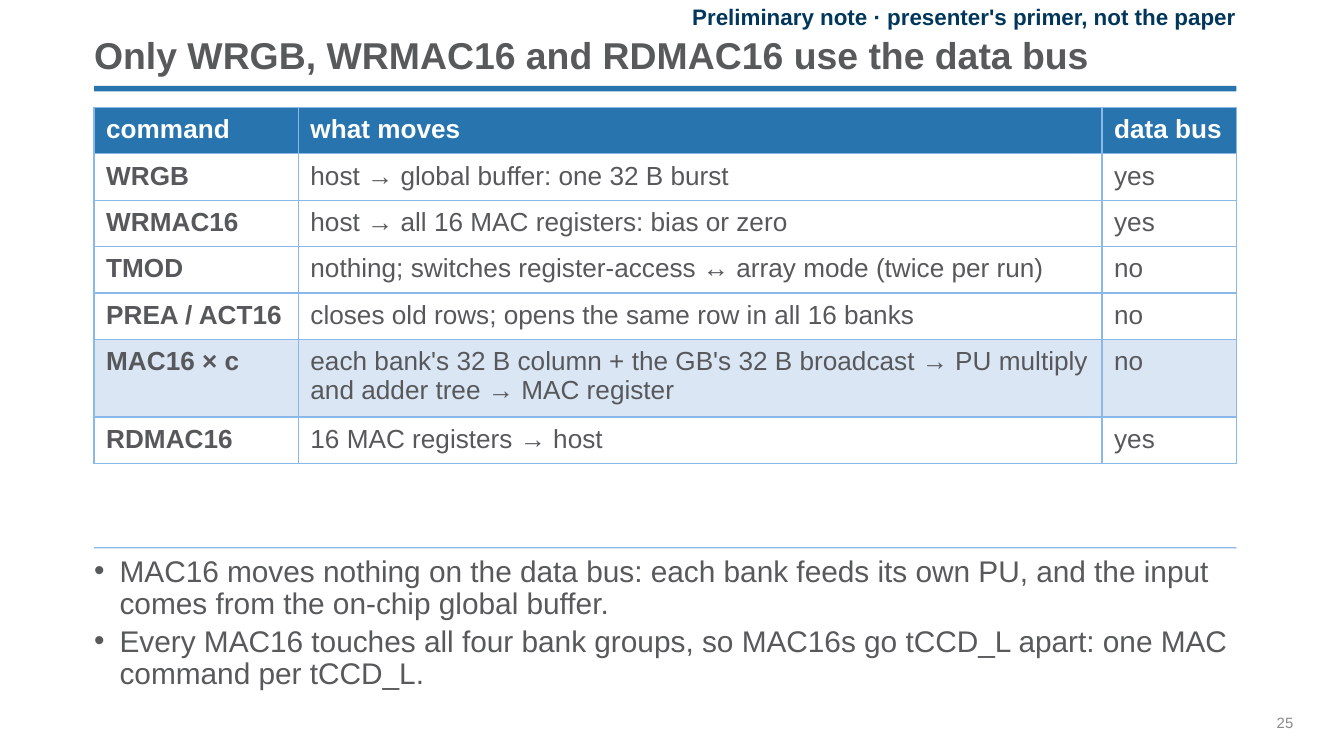
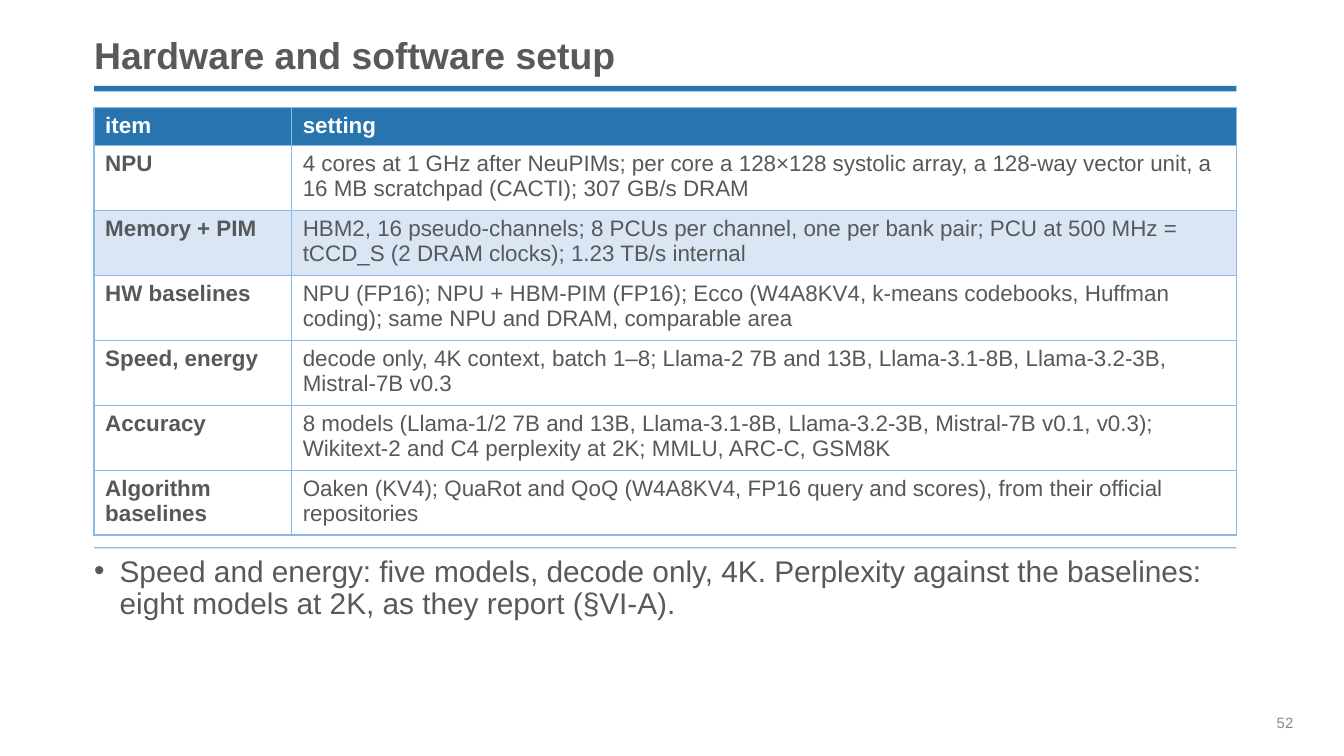
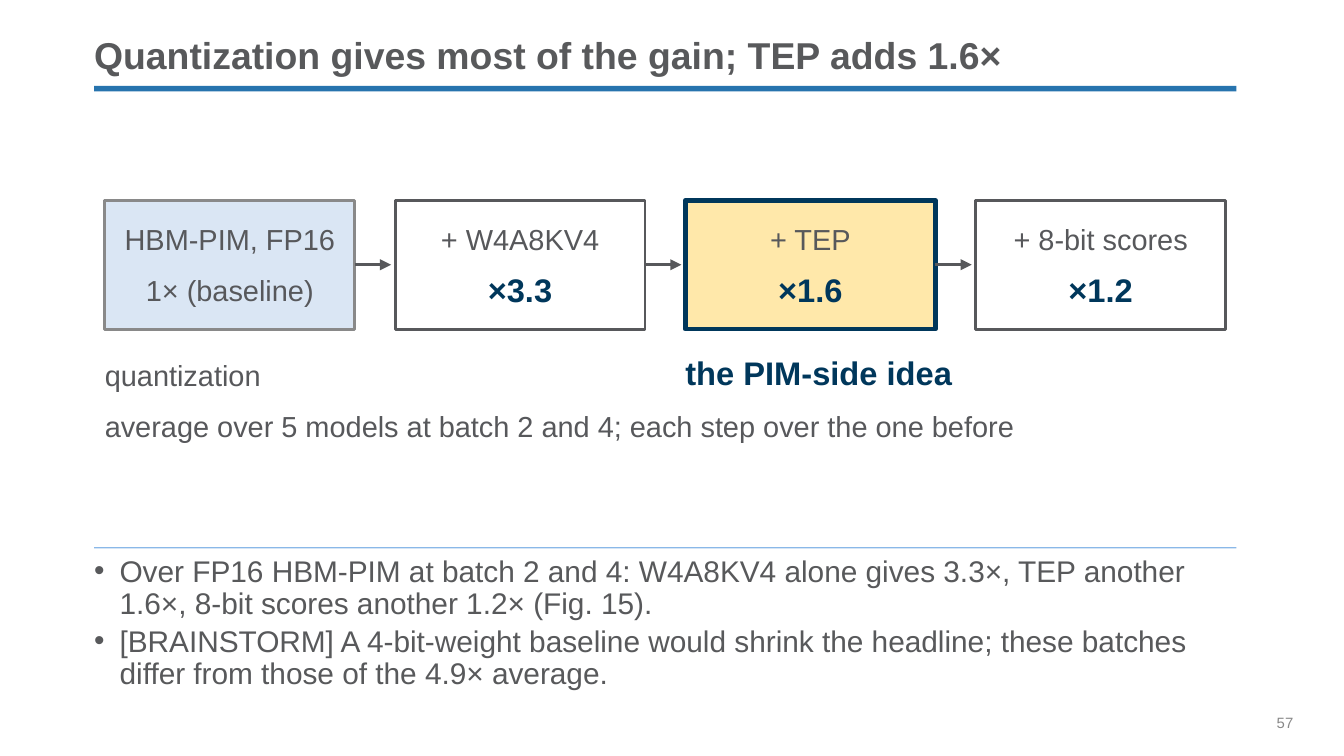
from dataclasses import dataclass

from lxml.etree import SubElement
from pptx import Presentation
from pptx.dml.color import RGBColor
from pptx.enum.shapes import MSO_CONNECTOR, MSO_SHAPE
from pptx.enum.text import MSO_ANCHOR, MSO_AUTO_SIZE, PP_ALIGN
from pptx.oxml.ns import qn
from pptx.util import Inches, Pt


@dataclass(frozen=True)
class Theme:
    font: str = "Arial"
    blue: str = "2774AE"
    light_blue: str = "8AB8E8"
    pale_blue: str = "DAE6F4"
    navy: str = "00375B"
    gold: str = "FFC72B"
    white: str = "FFFFFF"
    heading: str = "58595B"
    ink: str = "57585B"
    grey: str = "898989"
    title_size: float = 20
    body_size: float = 16
    label_size: float = 15.5
    value_size: float = 17.5
    command_size: float = 14
    setting_size: float = 12
    note_size: float = 12
    number_size: float = 8
    left: float = 0.7
    width: float = 8.5


def write(paragraph, text, font="Arial", size=12, color="000000", bold=False,
          align=PP_ALIGN.LEFT, line_spacing=None, space_before=0):
    run = paragraph.add_run()
    run.text = text
    run.font.name = font
    run.font.size = Pt(size)
    run.font.bold = bold
    run.font.color.rgb = RGBColor.from_string(color)
    paragraph.alignment = align
    paragraph.space_before = Pt(space_before)
    if line_spacing:
        paragraph.line_spacing = line_spacing


def clear_margins(frame):
    frame.margin_left = frame.margin_right = 0
    frame.margin_top = frame.margin_bottom = 0


def add_bullet(paragraph):
    properties = paragraph._p.get_or_add_pPr()
    properties.set("marL", str(Inches(0.19)))
    properties.set("indent", str(-Inches(0.19)))
    SubElement(properties, qn("a:buFont"), typeface="Arial")
    SubElement(properties, qn("a:buChar"), char="•")


def add_borders(cell, color):
    properties = cell._tc.get_or_add_tcPr()
    for side in ("a:lnL", "a:lnR", "a:lnT", "a:lnB"):
        border = SubElement(properties, qn(side), w=str(Pt(0.75)))
        fill = SubElement(border, qn("a:solidFill"))
        SubElement(fill, qn("a:srgbClr"), val=color)


class Deck:
    def __init__(self, theme):
        self.theme = theme
        self.presentation = Presentation()
        self.presentation.slide_width = Inches(10)
        self.presentation.slide_height = Inches(10) * 9 // 16
        self.slide = None

    def add_slide(self, title, bullets, number):
        theme = self.theme
        first = self.slide is None
        self.slide = self.presentation.slides.add_slide(self.presentation.slide_layouts[1])
        if first:
            self.add_master_bands()
        frame = self.place(self.slide.shapes.title, 0.22, 0.36)
        frame.vertical_anchor = MSO_ANCHOR.BOTTOM
        frame.auto_size = MSO_AUTO_SIZE.SHAPE_TO_FIT_TEXT
        write(frame.paragraphs[0], title, theme.font, theme.title_size, theme.heading,
              bold=True, line_spacing=0.9)
        frame = self.place(self.slide.placeholders[1], 4.14, 1.06)
        frame.vertical_anchor = MSO_ANCHOR.TOP
        frame.auto_size = MSO_AUTO_SIZE.NONE
        for index, bullet in enumerate(bullets):
            paragraph = frame.add_paragraph() if index else frame.paragraphs[0]
            add_bullet(paragraph)
            write(paragraph, bullet, theme.font, theme.body_size, theme.heading,
                  line_spacing=0.9, space_before=3 if index else 0)
        self.text(number, 9.5, 5.31, 0.5, 0.14, anchor=MSO_ANCHOR.TOP, wrap=True,
                  size=theme.number_size, color=theme.grey)

    def add_master_bands(self):
        theme = self.theme
        bands = ((0.64, 0.04, theme.blue), (4.07, 0.01, theme.light_blue))
        for identifier, (top, height, color) in enumerate(bands, 20):
            band = self.rectangle(theme.left, top, theme.width, height, color)
            band.element.nvSpPr.cNvPr.set("id", str(identifier))
            self.presentation.slide_master.shapes.element.append(band.element)

    def place(self, placeholder, top, height):
        placeholder.left, placeholder.top = Inches(self.theme.left), Inches(top)
        placeholder.width, placeholder.height = Inches(self.theme.width), Inches(height)
        frame = placeholder.text_frame
        clear_margins(frame)
        frame.word_wrap = True
        return frame

    def text(self, text, left, top, width, height, anchor=MSO_ANCHOR.MIDDLE,
             wrap=False, **style):
        box = self.slide.shapes.add_textbox(
            Inches(left), Inches(top), Inches(width), Inches(height))
        frame = box.text_frame
        clear_margins(frame)
        frame.word_wrap = wrap
        frame.vertical_anchor = anchor
        write(frame.paragraphs[0], text, self.theme.font, **style)

    def label(self, text, left, top, width, align=PP_ALIGN.LEFT):
        self.text(text, left, top, width, 0.32, align=align,
                  size=self.theme.label_size, color=self.theme.ink)

    def value(self, text, left, top, width, align=PP_ALIGN.LEFT):
        self.text(text, left, top, width, 0.37, align=align, bold=True,
                  size=self.theme.value_size, color=self.theme.navy)

    def rectangle(self, left, top, width, height, fill, line=None, weight=1.5, alpha=None):
        shape = self.slide.shapes.add_shape(
            MSO_SHAPE.RECTANGLE, Inches(left), Inches(top), Inches(width), Inches(height))
        shape.shadow.inherit = False
        shape.fill.solid()
        shape.fill.fore_color.rgb = RGBColor.from_string(fill)
        if alpha:
            color = shape.element.spPr.find(qn("a:solidFill")).find(qn("a:srgbClr"))
            SubElement(color, qn("a:alpha"), val=str(alpha * 1000))
        if line:
            shape.line.color.rgb = RGBColor.from_string(line)
            shape.line.width = Pt(weight)
        else:
            shape.line.fill.background()
        return shape

    def arrow_from(self, shape, length):
        start = shape.left + shape.width
        middle = shape.top + shape.height // 2
        arrow = self.slide.shapes.add_connector(
            MSO_CONNECTOR.STRAIGHT, start, middle, start + Inches(length), middle)
        arrow.begin_connect(shape, 3)
        arrow.line.color.rgb = RGBColor.from_string(self.theme.ink)
        arrow.line.width = Pt(1.5)
        SubElement(arrow.line._get_or_add_ln(), qn("a:tailEnd"), type="triangle")
        SubElement(arrow.element.spPr, qn("a:effectLst"))

    def table(self, rows, widths, size, side_margin, end_margin, highlight):
        theme = self.theme
        graphic_frame = self.slide.shapes.add_table(
            len(rows), len(widths), Inches(theme.left), Inches(0.8),
            Inches(theme.width), Inches(1))
        table = graphic_frame.table
        table.horz_banding = False
        for column, width in zip(table.columns, widths):
            column.width = Inches(width)
        for row_index, row in enumerate(rows):
            header = row_index == 0
            fill = theme.pale_blue if row_index == highlight else theme.white
            table.rows[row_index].height = 0
            for column_index, text in enumerate(row):
                cell = table.cell(row_index, column_index)
                cell.margin_left = cell.margin_right = Pt(side_margin)
                cell.margin_top = cell.margin_bottom = Pt(end_margin)
                add_borders(cell, theme.light_blue)
                cell.fill.solid()
                cell.fill.fore_color.rgb = RGBColor.from_string(theme.blue if header else fill)
                write(cell.text_frame.paragraphs[0], text, theme.font, size,
                      theme.white if header else theme.ink,
                      bold=header or column_index == 0)
        graphic_frame.height = Inches(1)


def add_command_slide(deck):
    theme = deck.theme
    deck.add_slide("Only WRGB, WRMAC16 and RDMAC16 use the data bus", [
        "MAC16 moves nothing on the data bus: each bank feeds its own PU, and the input "
        "comes from the on-chip global buffer.",
        "Every MAC16 touches all four bank groups, so MAC16s go tCCD_L apart: one MAC "
        "command per tCCD_L.",
    ], "25")
    deck.text("Preliminary note · presenter's primer, not the paper", 4.2, 0.04, 5, 0.17,
              wrap=True, size=theme.note_size, color=theme.navy, bold=True,
              align=PP_ALIGN.RIGHT)
    commands = [
        ("command", "what moves", "data bus"),
        ("WRGB", "host → global buffer: one 32 B burst", "yes"),
        ("WRMAC16", "host → all 16 MAC registers: bias or zero", "yes"),
        ("TMOD", "nothing; switches register-access ↔ array mode (twice per run)", "no"),
        ("PREA / ACT16", "closes old rows; opens the same row in all 16 banks", "no"),
        ("MAC16 × c", "each bank's 32 B column + the GB's 32 B broadcast → PU multiply "
         "and adder tree → MAC register", "no"),
        ("RDMAC16", "16 MAC registers → host", "yes"),
    ]
    deck.table(commands, (1.52, 5.98, 1), size=theme.command_size, side_margin=6.5,
               end_margin=4, highlight=5)


def add_setup_slide(deck):
    deck.add_slide("Hardware and software setup", [
        "Speed and energy: five models, decode only, 4K. Perplexity against the baselines: "
        "eight models at 2K, as they report (§VI‑A).",
    ], "52")
    settings = [
        ("item", "setting"),
        ("NPU", "4 cores at 1 GHz after NeuPIMs; per core a 128×128 systolic array, "
         "a 128-way vector unit, a 16 MB scratchpad (CACTI); 307 GB/s DRAM"),
        ("Memory + PIM", "HBM2, 16 pseudo-channels; 8 PCUs per channel, one per bank pair; "
         "PCU at 500 MHz = tCCD_S (2 DRAM clocks); 1.23 TB/s internal"),
        ("HW baselines", "NPU (FP16); NPU + HBM-PIM (FP16); Ecco (W4A8KV4, k-means "
         "codebooks, Huffman coding); same NPU and DRAM, comparable area"),
        ("Speed, energy", "decode only, 4K context, batch 1–8; Llama-2 7B and 13B, "
         "Llama-3.1-8B, Llama-3.2-3B, Mistral-7B v0.3"),
        ("Accuracy", "8 models (Llama-1/2 7B and 13B, Llama-3.1-8B, Llama-3.2-3B, "
         "Mistral-7B v0.1, v0.3); Wikitext-2 and C4 perplexity at 2K; MMLU, ARC-C, GSM8K"),
        ("Algorithm baselines", "Oaken (KV4); QuaRot and QoQ (W4A8KV4, FP16 query and "
         "scores), from their official repositories"),
    ]
    deck.table(settings, (1.47, 7.03), size=deck.theme.setting_size, side_margin=6,
               end_margin=3, highlight=2)


def add_gain_slide(deck):
    theme = deck.theme
    deck.add_slide("Quantization gives most of the gain; TEP adds 1.6×", [
        "Over FP16 HBM-PIM at batch 2 and 4: W4A8KV4 alone gives 3.3×, TEP another 1.6×, "
        "8-bit scores another 1.2× (Fig. 15).",
        "[BRAINSTORM] A 4-bit-weight baseline would shrink the headline; these batches "
        "differ from those of the 4.9× average.",
    ], "57")
    plain = {"fill": theme.white, "line": theme.ink}
    baseline = {"fill": theme.pale_blue, "line": theme.grey}
    accent = {"fill": theme.gold, "line": theme.navy, "weight": 2.5, "alpha": 40}
    steps = [
        ("HBM-PIM, FP16", "1× (baseline)", baseline),
        ("+ W4A8KV4", "×3.3", plain),
        ("+ TEP", "×1.6", accent),
        ("+ 8-bit scores", "×1.2", plain),
    ]
    start, pitch, width = 0.78, 2.16, 1.86
    for index, (name, gain, style) in enumerate(steps):
        left = start + index * pitch
        step = deck.rectangle(left, 1.49, width, 0.96, **style)
        deck.label(name, left, 1.62, width, PP_ALIGN.CENTER)
        if index:
            deck.value(gain, left, 1.97, width, PP_ALIGN.CENTER)
        else:
            deck.label(gain, left, 2, width, PP_ALIGN.CENTER)
        if index < len(steps) - 1:
            deck.arrow_from(step, 0.27)
    deck.label("quantization", start, 2.63, 1.61)
    deck.value("the PIM-side idea", start + 2 * pitch, 2.59, 2.57)
    deck.label("average over 5 models at batch 2 and 4; each step over the one before",
               start, 3.01, 8.66)


def main():
    deck = Deck(Theme())
    add_command_slide(deck)
    add_setup_slide(deck)
    add_gain_slide(deck)
    deck.presentation.save("out.pptx")


if __name__ == "__main__":
    main()
